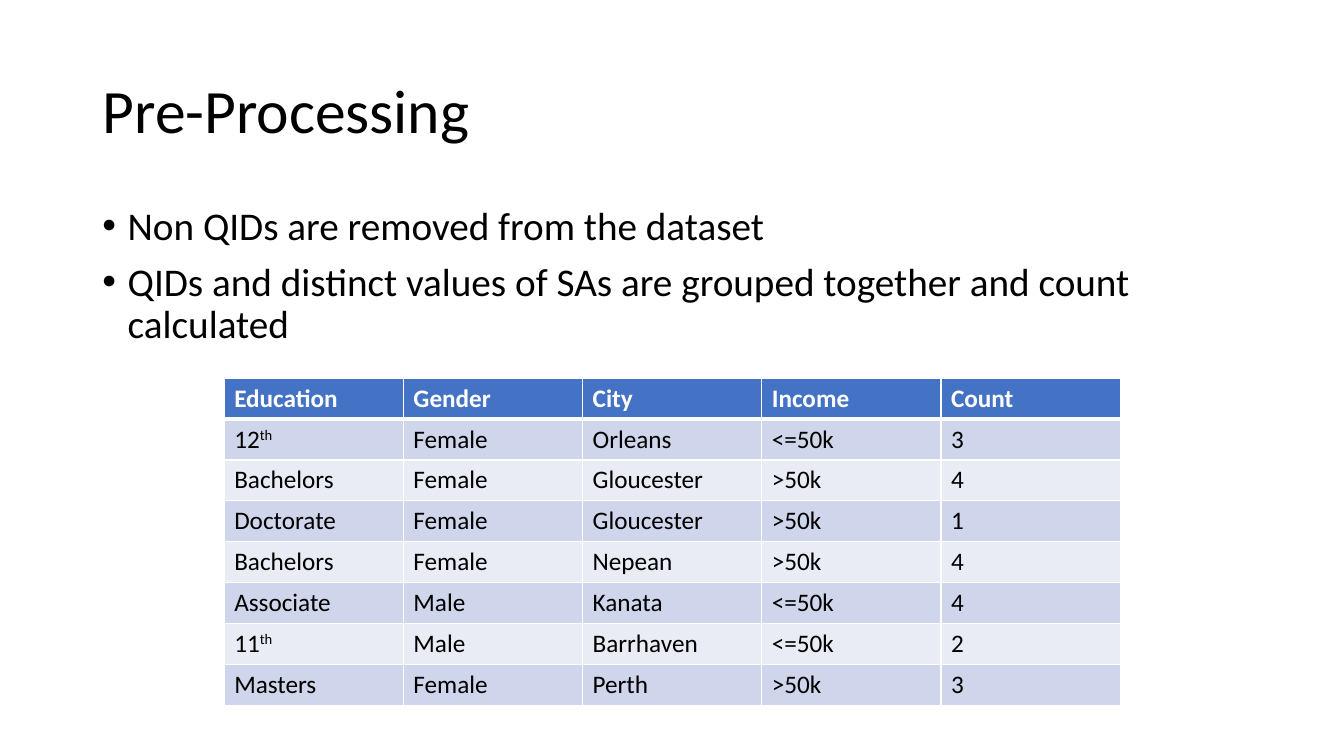
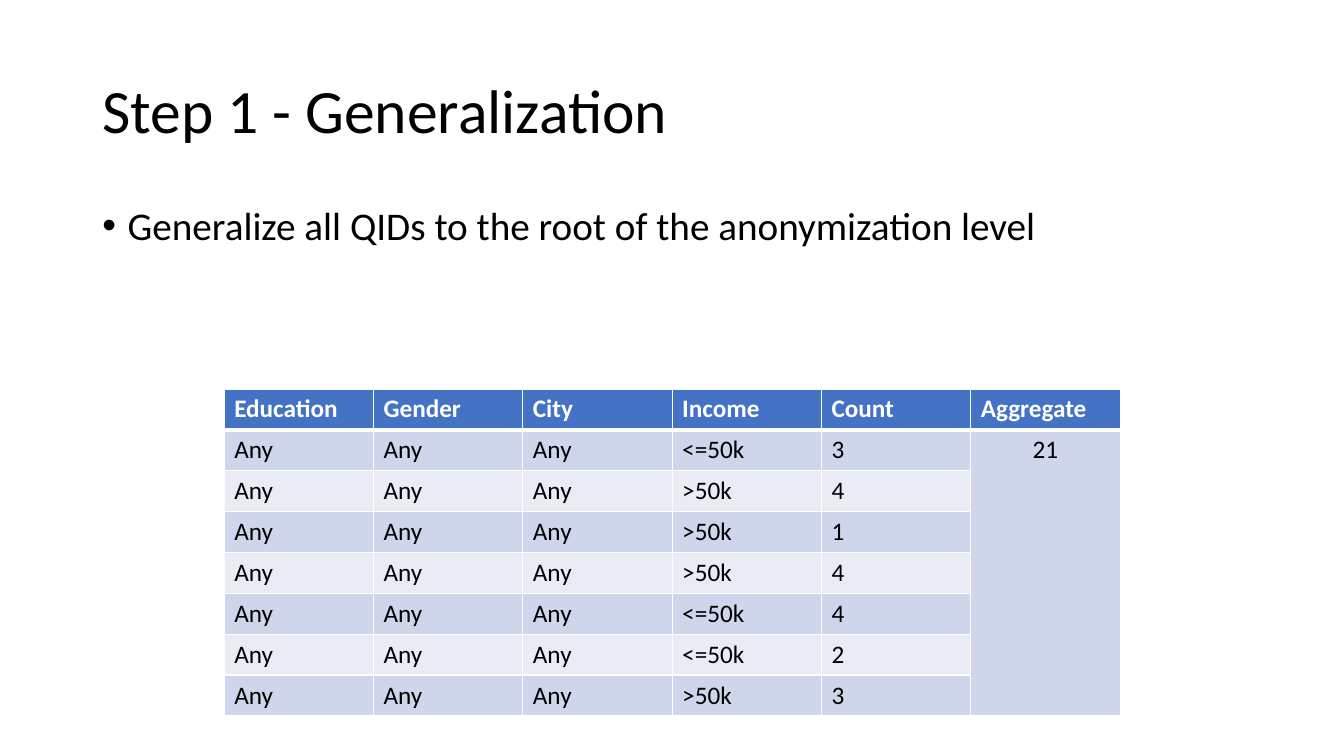
import dataclasses

import pptx
import pptx.dml.color
import pptx.enum.text
import pptx.oxml
import pptx.oxml.ns
import pptx.util

Cm = pptx.util.Cm
Pt = pptx.util.Pt
RGB = pptx.dml.color.RGBColor
ALIGN = pptx.enum.text.PP_ALIGN
ANCHOR = pptx.enum.text.MSO_ANCHOR


@dataclasses.dataclass(frozen=True)
class Theme:
    font: str = "Calibri"
    ink: str = "000000"
    white: str = "FFFFFF"
    head: str = "4472C4"
    bands: tuple[str, str] = ("CFD5EA", "E9EBF5")
    title: int = 44
    body: int = 28
    cell: int = 18
    thin: int = 1
    thick: int = 3


@dataclasses.dataclass(frozen=True)
class Box:
    left: float
    top: float
    width: float
    height: float

    def place(self) -> tuple[int, ...]:
        return tuple(Cm(n) for n in dataclasses.astuple(self))


@dataclasses.dataclass(frozen=True)
class Page:
    title: str
    points: tuple[str, ...]
    heads: tuple[str, ...]
    rows: tuple[tuple[str, ...], ...]
    top: float
    total: str = ""


THEME = Theme()
TITLE = Box(2.33, 1.01, 29.21, 3.68)
BODY = Box(2.33, 5.07, 29.21, 12.09)
GRID_LEFT, GRID_WIDTH, ROW = 5.65, 22.58, 1.03
INDENT = Cm(0.64)

HEADS = ("Education", "Gender", "City", "Income", "Count")
PEOPLE = (
    ("12th", "Female", "Orleans", "<=50k", "3"),
    ("Bachelors", "Female", "Gloucester", ">50k", "4"),
    ("Doctorate", "Female", "Gloucester", ">50k", "1"),
    ("Bachelors", "Female", "Nepean", ">50k", "4"),
    ("Associate", "Male", "Kanata", "<=50k", "4"),
    ("11th", "Male", "Barrhaven", "<=50k", "2"),
    ("Masters", "Female", "Perth", ">50k", "3"),
)
PAGES = (
    Page(
        "Pre-Processing",
        (
            "Non QIDs are removed from the dataset",
            "QIDs and distinct values of SAs are grouped together and count calculated",
        ),
        HEADS,
        PEOPLE,
        9.53,
    ),
    Page(
        "Step 1 - Generalization",
        ("Generalize all QIDs to the root of the anonymization level",),
        (*HEADS, "Aggregate"),
        tuple(("Any", "Any", "Any", *row[3:]) for row in PEOPLE),
        9.8,
        "21",
    ),
)


def style(para, size: int, color: str = THEME.ink, bold: bool = False) -> None:
    for run in para.runs:
        run.font.name = THEME.font
        run.font.size = Pt(size)
        run.font.bold = bold
        run.font.color.rgb = RGB.from_string(color)


def add_title(slide, text: str) -> None:
    shape = slide.shapes.title
    shape.left, shape.top, shape.width, shape.height = TITLE.place()
    frame = shape.text_frame
    frame.text = text
    frame.auto_size = pptx.enum.text.MSO_AUTO_SIZE.NONE
    frame.vertical_anchor = ANCHOR.MIDDLE
    para = frame.paragraphs[0]
    para.alignment = ALIGN.LEFT
    para.line_spacing = 0.9
    style(para, THEME.title)


def add_points(slide, points: tuple[str, ...]) -> None:
    frame = slide.shapes.add_textbox(*BODY.place()).text_frame
    frame.word_wrap = True
    frame.text = "\n".join(points)
    for para in frame.paragraphs:
        para.line_spacing = 0.9
        para.space_before = Pt(10)
        style(para, THEME.body)
        props = para._p.get_or_add_pPr()
        props.set("marL", str(INDENT))
        props.set("indent", str(-INDENT))
        space = pptx.oxml.ns.nsdecls("a")
        for mark in ('<a:buFont %s typeface="Arial"/>', '<a:buChar %s char="•"/>'):
            props.append(pptx.oxml.parse_xml(mark % space))


def add_edges(cell, row: int) -> None:
    """Give the cell white borders, thick between the head and the first row."""
    props = cell._tc.get_or_add_tcPr()
    for side in "LRTB":
        heavy = (row, side) in ((0, "B"), (1, "T"))
        width = Pt(THEME.thick if heavy else THEME.thin)
        props.append(pptx.oxml.parse_xml(
            f'<a:ln{side} {pptx.oxml.ns.nsdecls("a")} w="{width}">'
            f'<a:solidFill><a:srgbClr val="{THEME.white}"/></a:solidFill>'
            f"</a:ln{side}>"
        ))


def fill_cell(cell, text: str, row: int) -> None:
    head = row == 0
    add_edges(cell, row)
    cell.fill.solid()
    shade = THEME.head if head else THEME.bands[(row - 1) % 2]
    cell.fill.fore_color.rgb = RGB.from_string(shade)
    para = cell.text_frame.paragraphs[0]
    stem = text.removesuffix("th")
    ranked = stem != text and stem.isdigit()
    para.text = stem if ranked else text
    if ranked:
        rank = para.add_run()
        rank.text = "th"
        rank.font._element.set("baseline", "30000")
    style(para, THEME.cell, THEME.white if head else THEME.ink, head)


def add_grid(slide, page: Page) -> None:
    count, cols = len(page.rows) + 1, len(page.heads)
    box = Box(GRID_LEFT, page.top, GRID_WIDTH, ROW * count)
    table = slide.shapes.add_table(count, cols, *box.place()).table
    for col in table.columns:
        col.width = Cm(GRID_WIDTH / cols)
    for i, row in enumerate((page.heads, *page.rows)):
        table.rows[i].height = Cm(ROW)
        for j in range(cols):
            fill_cell(table.cell(i, j), row[j] if j < len(row) else "", i)
    if page.total:
        first = table.cell(1, cols - 1)
        first.merge(table.cell(count - 1, cols - 1))
        para = first.text_frame.paragraphs[0]
        para.text = page.total
        para.alignment = ALIGN.CENTER
        style(para, THEME.cell)


def main() -> None:
    deck = pptx.Presentation()
    deck.slide_width, deck.slide_height = Cm(33.87), Cm(19.05)
    layout = deck.slide_layouts.get_by_name("Title Only")
    for page in PAGES:
        slide = deck.slides.add_slide(layout)
        add_title(slide, page.title)
        add_points(slide, page.points)
        add_grid(slide, page)
    deck.save("out.pptx")


if __name__ == "__main__":
    main()
